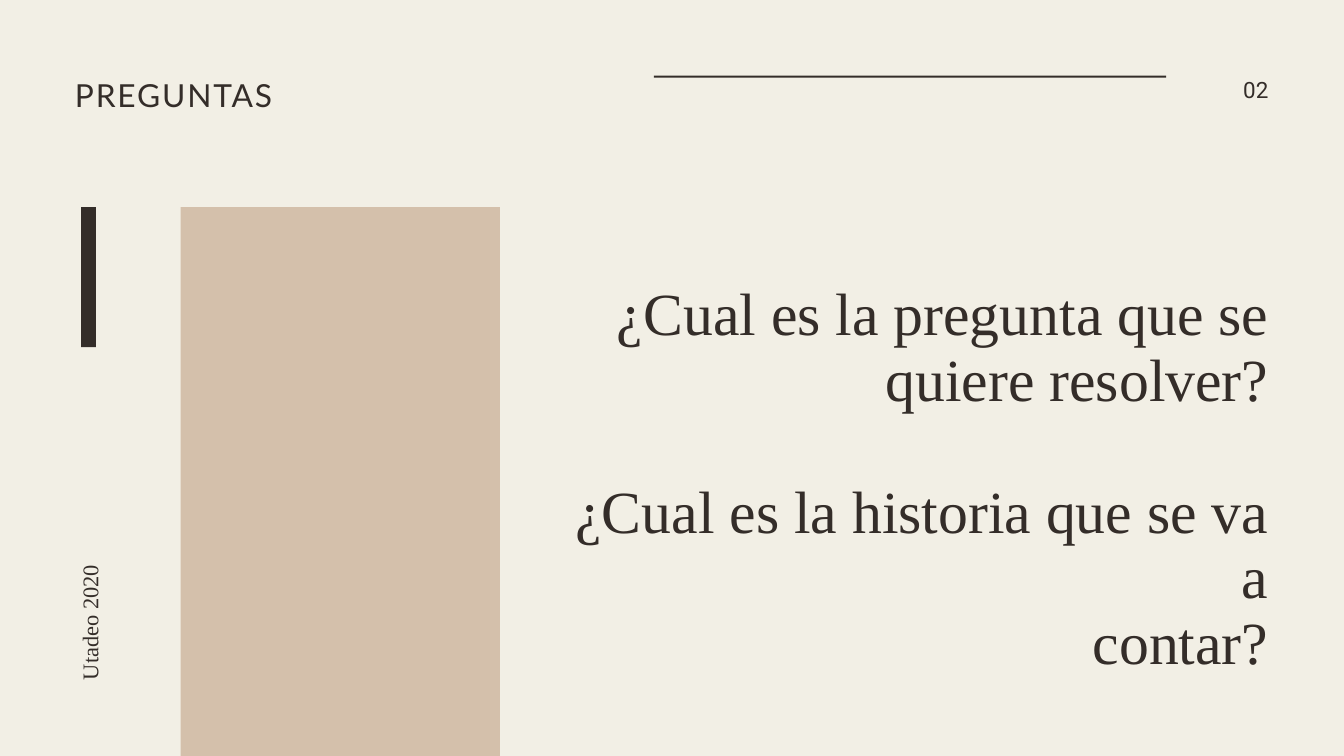
from lxml.etree import SubElement
from pptx import Presentation
from pptx.dml.color import RGBColor
from pptx.enum.shapes import MSO_SHAPE
from pptx.enum.text import MSO_ANCHOR, MSO_AUTO_SIZE, PP_ALIGN
from pptx.oxml.ns import qn
from pptx.util import Pt

PX = 9525
WIDTH, HEIGHT = 1920, 1080
COLORS = {"paper": "F2EFE5", "ink": "342D29", "sand": "D4C0AB"}

BLOCKS = [  # left, top, width, height, colour
    (258, 296, 456, 873, "sand"),
    (116, 296, 21, 200, "ink"),
    (934, 108, 732, 3, "ink"),
]
TITLE = {"box": (107, 104, 740, 58), "lines": ["PREGUNTAS"], "font": "Lato",
         "size": 34, "leading": 44.2, "tracking": 200}
QUESTIONS = {"box": (785, 403, 1027, 467), "font": "Times New Roman",
             "lines": ["¿Cual es la pregunta que se quiere resolver?",
                       "¿Cual es la historia que se va a\vcontar?"],
             "size": 64, "leading": 70.4, "align": PP_ALIGN.RIGHT}
FOOTER = {"box": (-89, 737, 432, 37), "lines": ["Utadeo 2020"],
          "font": "Times New Roman", "size": 24, "leading": 28.8, "rotation": 270}
PAGE = {"box": (1739, 108, 73, 37), "lines": ["02"], "font": "Roboto",
        "size": 24, "leading": 28.8, "align": PP_ALIGN.RIGHT}


def rgb(name):
    return RGBColor.from_string(COLORS[name])


def emu(box):
    return [v * PX for v in box]


def set_attrs(obj, values):
    for name, value in values.items():
        setattr(obj, name, value)


def add_block(slide, *box, color):
    s = slide.shapes.add_shape(MSO_SHAPE.RECTANGLE, *emu(box))
    s.shadow.inherit = False
    s.fill.solid()
    s.fill.fore_color.rgb = rgb(color)
    s.line.fill.background()


def fill_text(s, item):
    """Place a text shape and write its lines, one line of leading apart."""
    set_attrs(s, dict(zip(("left", "top", "width", "height"), emu(item["box"]))))
    s.rotation = item.get("rotation", 0)
    tf = s.text_frame
    set_attrs(tf, {"margin_left": 0, "margin_top": 0, "margin_right": 0,
                   "margin_bottom": 0, "word_wrap": True,
                   "auto_size": MSO_AUTO_SIZE.NONE,
                   "vertical_anchor": MSO_ANCHOR.TOP})
    leading = Pt(item["leading"])
    for i, line in enumerate(item["lines"]):
        p = tf.add_paragraph() if i else tf.paragraphs[0]
        p.text = line
        set_attrs(p, {"alignment": item.get("align", PP_ALIGN.LEFT),
                      "line_spacing": leading,
                      "space_before": leading if i else Pt(0),
                      "space_after": Pt(0)})
        pPr = p._p.get_or_add_pPr()
        pPr.set("marL", "0")
        pPr.set("indent", "0")
        SubElement(pPr, qn("a:buNone"))
        for r in p.runs:
            set_attrs(r.font, {"name": item["font"], "size": Pt(item["size"])})
            r.font.color.rgb = rgb("ink")
            if "tracking" in item:
                r._r.get_or_add_rPr().set("spc", str(item["tracking"]))


def main():
    prs = Presentation()
    prs.slide_width, prs.slide_height = WIDTH * PX, HEIGHT * PX
    slide = prs.slides.add_slide(prs.slide_layouts[1])
    slide.background.fill.solid()
    slide.background.fill.fore_color.rgb = rgb("paper")

    for *box, color in BLOCKS:
        add_block(slide, *box, color=color)
    fill_text(slide.shapes.title, TITLE)
    fill_text(slide.placeholders[1], QUESTIONS)
    for item in (FOOTER, PAGE):
        fill_text(slide.shapes.add_textbox(*emu(item["box"])), item)
    prs.save("out.pptx")


if __name__ == "__main__":
    main()
